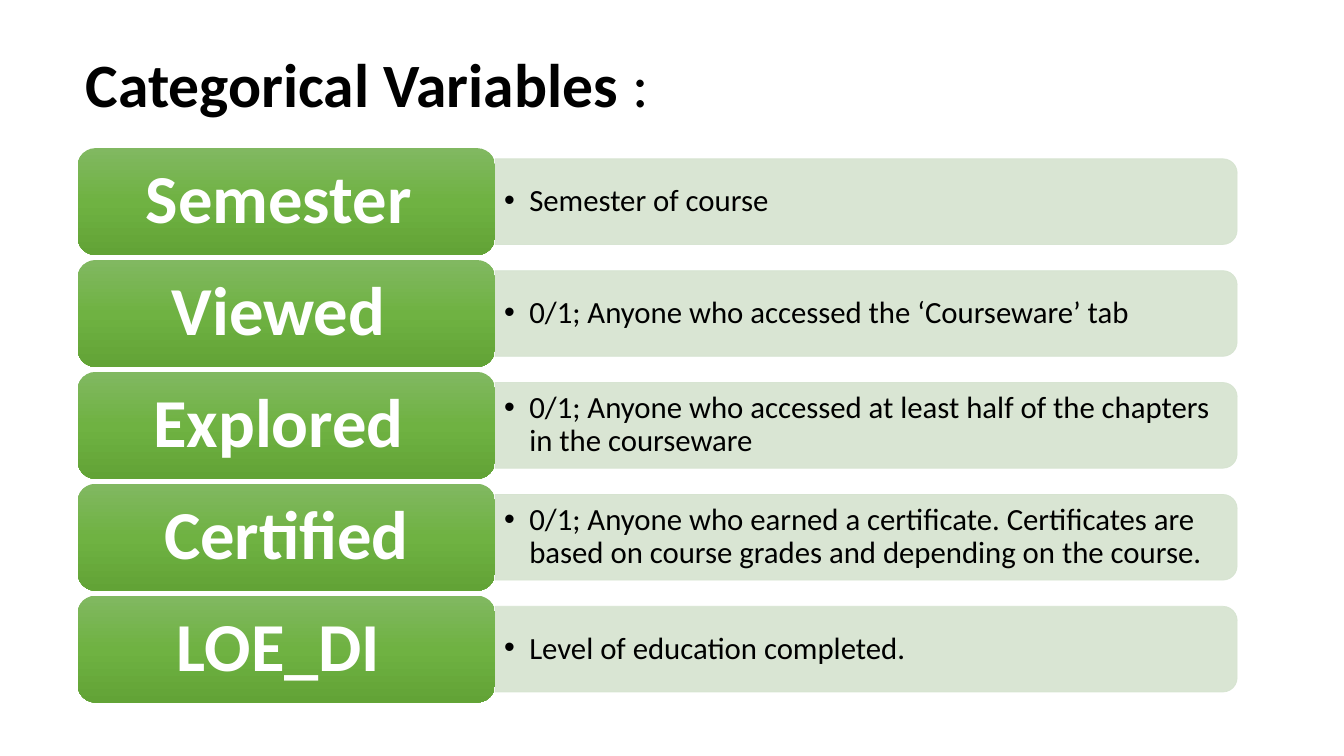
from copy import deepcopy
from dataclasses import dataclass

from lxml.etree import SubElement
from pptx import Presentation
from pptx.dml.color import RGBColor
from pptx.enum.shapes import MSO_SHAPE
from pptx.enum.text import MSO_ANCHOR, PP_ALIGN
from pptx.oxml.ns import qn
from pptx.shapes.autoshape import Shape
from pptx.slide import Slide
from pptx.text.text import TextFrame
from pptx.util import Inches, Pt

BLACK = RGBColor(0, 0, 0)
WHITE = RGBColor(255, 255, 255)
PALE = RGBColor(0xD5, 0xE3, 0xCF)
GREENS = (RGBColor(0x81, 0xB8, 0x61), RGBColor(0x6F, 0xB2, 0x42),
          RGBColor(0x62, 0xA3, 0x36))
FONT = "Calibri"

# Grid: a label column, a detail column, and rows of equal pitch
LEFT, TOP = Inches(0.77), Inches(1.47)
LABEL, DETAIL = Inches(4.14), Inches(7.36)
MID = LEFT + LABEL
PITCH = Inches(1.11)
CARD, BAND, NOTE = Inches(1.06), Inches(0.85), Inches(0.76)


@dataclass
class Entry:
    name: str
    detail: str


ENTRIES = [
    Entry("Semester ", "Semester of course"),
    Entry("Viewed ", "0/1; Anyone who accessed the ‘Courseware’ tab"),
    Entry("Explored ", "0/1; Anyone who accessed at least half of the "
          "chapters in the courseware"),
    Entry("Certified", "0/1; Anyone who earned a certificate. Certificates "
          "are based on course grades and depending on the course."),
    Entry("LOE_DI ", "Level of education completed."),
]


def write(frame: TextFrame, text: str, size: float, color: RGBColor,
          bold: bool = False) -> None:
    frame.text = text
    frame.word_wrap = True
    frame.vertical_anchor = MSO_ANCHOR.MIDDLE
    para = frame.paragraphs[0]
    para.line_spacing = 0.9
    font = para.runs[0].font
    font.name, font.size, font.bold = FONT, Pt(size), bold
    font.color.rgb = color


def fade(shape: Shape) -> None:
    """Make the shape's solid fill and line 90 % opaque."""
    for color in shape._element.spPr.iter(qn("a:srgbClr")):
        SubElement(color, qn("a:alpha"), val="90000")


def shade(shape: Shape) -> None:
    """Fill the shape with the greens, from top to bottom."""
    fill = shape.fill
    fill.gradient()
    fill.gradient_angle = 270
    first = next(shape._element.spPr.iter(qn("a:gs")))
    first.addnext(deepcopy(first))
    for i, (stop, green) in enumerate(zip(fill.gradient_stops, GREENS)):
        stop.color.rgb = green
        stop.position = i / 2


def add_band(slide: Slide, center: int) -> None:
    """Draw the bar on its side, so that its round corners face right."""
    band = slide.shapes.add_shape(
        MSO_SHAPE.ROUND_2_SAME_RECTANGLE, MID + (DETAIL - BAND) // 2,
        center - DETAIL // 2, BAND, DETAIL)
    band.rotation = 90
    band.shadow.inherit = False
    band.fill.solid()
    band.fill.fore_color.rgb = PALE
    band.line.color.rgb = PALE
    band.line.width = Pt(0.5)
    fade(band)


def add_note(slide: Slide, center: int, text: str) -> None:
    box = slide.shapes.add_textbox(MID, center - NOTE // 2,
                                   DETAIL - Inches(0.04), NOTE)
    frame = box.text_frame
    write(frame, text, 22, BLACK)
    frame.margin_left = frame.margin_right = Inches(0.09)
    props = frame.paragraphs[0]._p.get_or_add_pPr()
    props.set("marL", str(Inches(0.25)))
    props.set("indent", str(-Inches(0.25)))
    SubElement(props, qn("a:buFont"), typeface="Arial")
    SubElement(props, qn("a:buChar"), char="•")


def add_card(slide: Slide, center: int, text: str) -> None:
    card = slide.shapes.add_shape(MSO_SHAPE.ROUNDED_RECTANGLE, LEFT,
                                  center - CARD // 2, LABEL, CARD)
    card.shadow.inherit = False
    card.line.fill.background()
    shade(card)
    frame = card.text_frame
    write(frame, text, 49, WHITE, bold=True)
    frame.margin_left = frame.margin_right = Inches(0.2)
    frame.margin_top = frame.margin_bottom = Inches(0.1)
    frame.paragraphs[0].alignment = PP_ALIGN.CENTER


def add_title(slide: Slide) -> None:
    title = slide.shapes.title
    title.left, title.top = Inches(0.75), Inches(0.14)
    title.width, title.height = Inches(11.5), Inches(1.45)
    write(title.text_frame, "Categorical Variables ", 44, BLACK, bold=True)
    para = title.text_frame.paragraphs[0]
    para.alignment = PP_ALIGN.LEFT
    colon = para.add_run()
    colon.text = ":"
    colon.font.name, colon.font.size = FONT, Pt(44)
    colon.font.bold = False
    colon.font.color.rgb = BLACK


def main() -> None:
    deck = Presentation()
    deck.slide_width, deck.slide_height = Inches(13.33), Inches(7.5)
    slide = deck.slides.add_slide(deck.slide_layouts[5])
    add_title(slide)
    for row, entry in enumerate(ENTRIES):
        center = TOP + CARD // 2 + row * PITCH
        add_band(slide, center)
        add_note(slide, center, entry.detail)
        add_card(slide, center, entry.name)
    deck.save("out.pptx")


if __name__ == "__main__":
    main()
